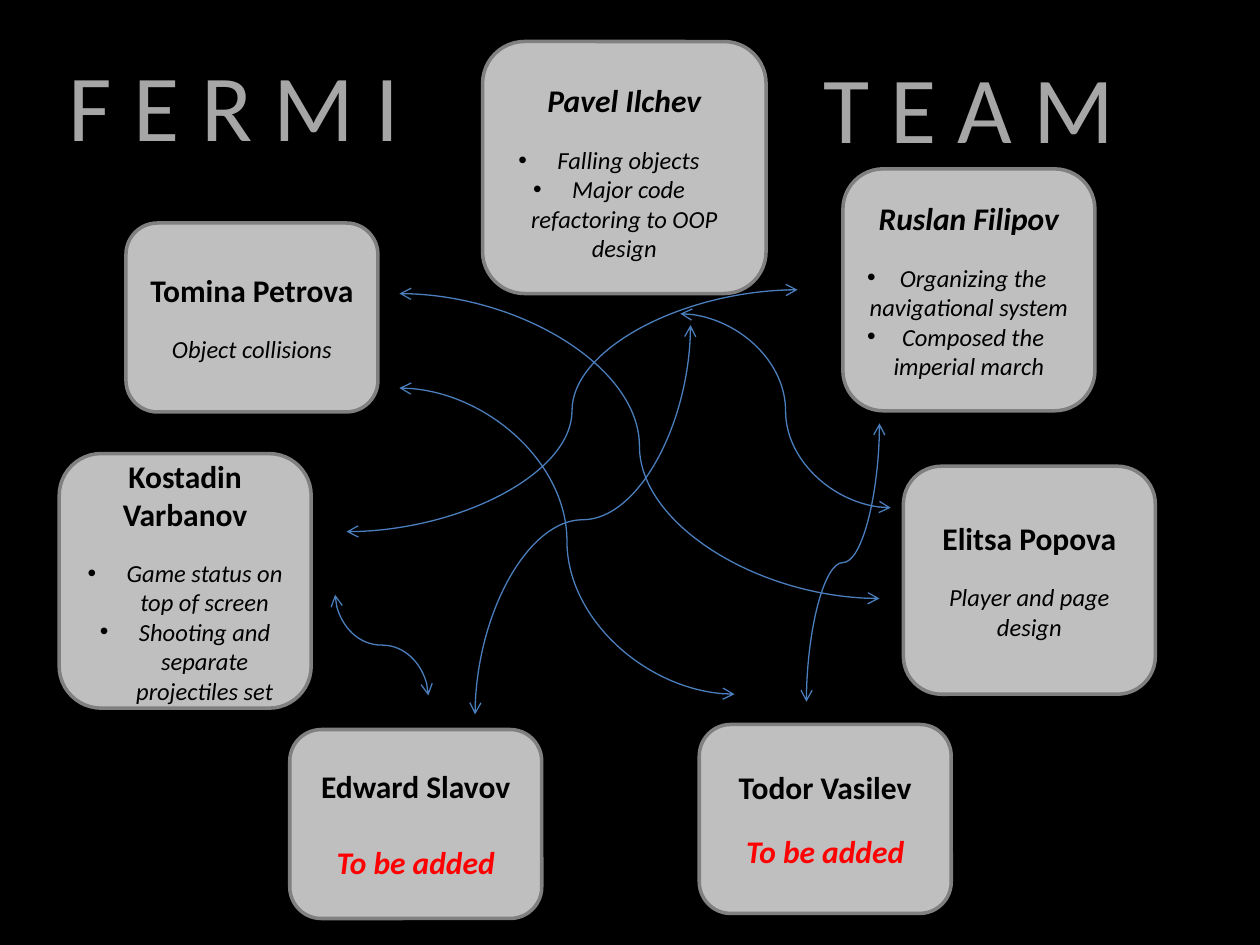
from lxml.etree import SubElement
from pptx import Presentation
from pptx.dml.color import RGBColor
from pptx.enum.shapes import MSO_CONNECTOR, MSO_SHAPE
from pptx.enum.text import MSO_ANCHOR, MSO_AUTO_SIZE, PP_ALIGN
from pptx.oxml.ns import qn
from pptx.util import Inches, Pt

COLORS = {"back": "000000", "card": "BFBFBF", "border": "808080", "text": "000000",
          "alert": "FF0000", "title": "A6A6A6", "arrow": "4B7EBC"}
RGB = {name: RGBColor.from_string(value) for name, value in COLORS.items()}

NAME = {"size": Pt(18), "bold": True, "italic": False}
LEAD = {"size": Pt(18), "bold": True, "italic": True}
TASK = {"size": Pt(14), "bold": False, "italic": True}


def add_text(p, text, color, style):
    p.alignment = PP_ALIGN.CENTER
    r = p.add_run()
    r.text = text
    r.font.name = "Calibri"
    r.font.color.rgb = RGB[color]
    for key, value in style.items():
        setattr(r.font, key, value)


def add_bullet(p, margin):
    pPr = p._p.get_or_add_pPr()
    pPr.set("marL", str(Inches(margin)))
    pPr.set("indent", str(Inches(-0.31)))
    SubElement(pPr, qn("a:buFont")).set("typeface", "Arial")
    SubElement(pPr, qn("a:buChar")).set("char", "•")


prs = Presentation()
prs.slide_width, prs.slide_height = Inches(10), Inches(7.5)
s = prs.slides.add_slide(prs.slide_layouts[5])
s.background.fill.solid()
s.background.fill.fore_color.rgb = RGB["back"]

# Heading in two halves
team_box = s.shapes.add_textbox(0, 0, 0, 0)
for sp, text, left, top in [(s.shapes.title, "F E R M I", 0.17, 0.32),
                            (team_box, "T E A M", 6, 0.33)]:
    sp.left, sp.top = Inches(left), Inches(top)
    sp.width, sp.height = Inches(3.38), Inches(1.01)
    tf = sp.text_frame
    tf.word_wrap = True
    tf.auto_size = MSO_AUTO_SIZE.NONE
    tf.vertical_anchor = MSO_ANCHOR.MIDDLE
    add_text(tf.paragraphs[0], text, "title", {"size": Pt(54)})

# Member cards: name, name style, box, gap under name, bullet margin, tasks, task colour and style
cards = [
    ("Tomina Petrova", NAME, (1, 1.77, 2, 1.5), 14.6, None,
     ["Object collisions"], "text", TASK),
    ("Pavel Ilchev", LEAD, (3.83, 0.33, 2.25, 2), 14.6, 0,
     ["Falling objects", "Major code refactoring to OOP design"], "text", TASK),
    ("Edward Slavov", NAME, (2.3, 5.79, 2, 1.5), 22, None,
     ["To be added"], "alert", LEAD),
    ("Kostadin Varbanov", NAME, (0.47, 3.6, 2, 2.02), 14.6, 0.31,
     ["Game status on top of screen", "Shooting and separate projectiles set"], "text", TASK),
    ("Todor Vasilev", NAME, (5.55, 5.75, 2, 1.5), 14.6, None,
     ["To be added"], "alert", LEAD),
    ("Elitsa Popova", NAME, (7.17, 3.7, 2, 1.81), 14.6, None,
     ["Player and page design"], "text", TASK),
    ("Ruslan Filipov", LEAD, (6.69, 1.34, 2, 1.92), 14.6, 0,
     ["Organizing the navigational system", "Composed the imperial march"], "text", TASK),
]
for name, name_style, box, gap, margin, tasks, color, style in cards:
    sp = s.shapes.add_shape(MSO_SHAPE.ROUNDED_RECTANGLE, *map(Inches, box))
    sp.shadow.inherit = False
    sp.fill.solid()
    sp.fill.fore_color.rgb = RGB["card"]
    sp.line.color.rgb = RGB["border"]
    sp.line.width = Pt(2)
    tf = sp.text_frame
    tf.word_wrap = True
    tf.vertical_anchor = MSO_ANCHOR.MIDDLE
    if name == "Pavel Ilchev":
        tf.margin_top = Inches(0.12)
    add_text(tf.paragraphs[0], name, "text", name_style)
    for i, task in enumerate(tasks):
        p = tf.add_paragraph()
        if i == 0:
            p.space_before = Pt(gap)
        if margin is not None:
            add_bullet(p, margin)
        add_text(p, task, color, style)

# Curved arrows: start, end, whether the curve leaves vertically
links = [
    ((3.17, 2.33), (6.98, 4.75), False),
    ((3.77, 5.67), (5.48, 2.58), True),
    ((2.75, 4.22), (6.33, 2.3), False),
    ((6.98, 3.36), (6.4, 5.57), True),
    ((3.17, 3.08), (5.83, 5.51), False),
    ((5.4, 2.49), (7.07, 4.03), False),
    ((2.66, 4.72), (3.4, 5.52), True),
]
for (x1, y1), (x2, y2), vertical in links:
    if vertical:  # lay the curve flat about its centre, then turn it by 90 degrees
        cx, cy, dx, dy = (x1 + x2) / 2, (y1 + y2) / 2, x2 - x1, y2 - y1
        x1, y1, x2, y2 = cx - dy / 2, cy + dx / 2, cx + dy / 2, cy - dx / 2
    link = s.shapes.add_connector(MSO_CONNECTOR.CURVE, *map(Inches, (x1, y1, x2, y2)))
    link.line.color.rgb = RGB["arrow"]
    link.line.width = Pt(0.75)
    spPr = link._element.spPr
    if vertical:
        spPr.find(qn("a:xfrm")).set("rot", str(90 * 60000))
    for end in ("a:headEnd", "a:tailEnd"):
        SubElement(spPr.find(qn("a:ln")), qn(end)).set("type", "arrow")
    SubElement(spPr, qn("a:effectLst"))

prs.save("out.pptx")
